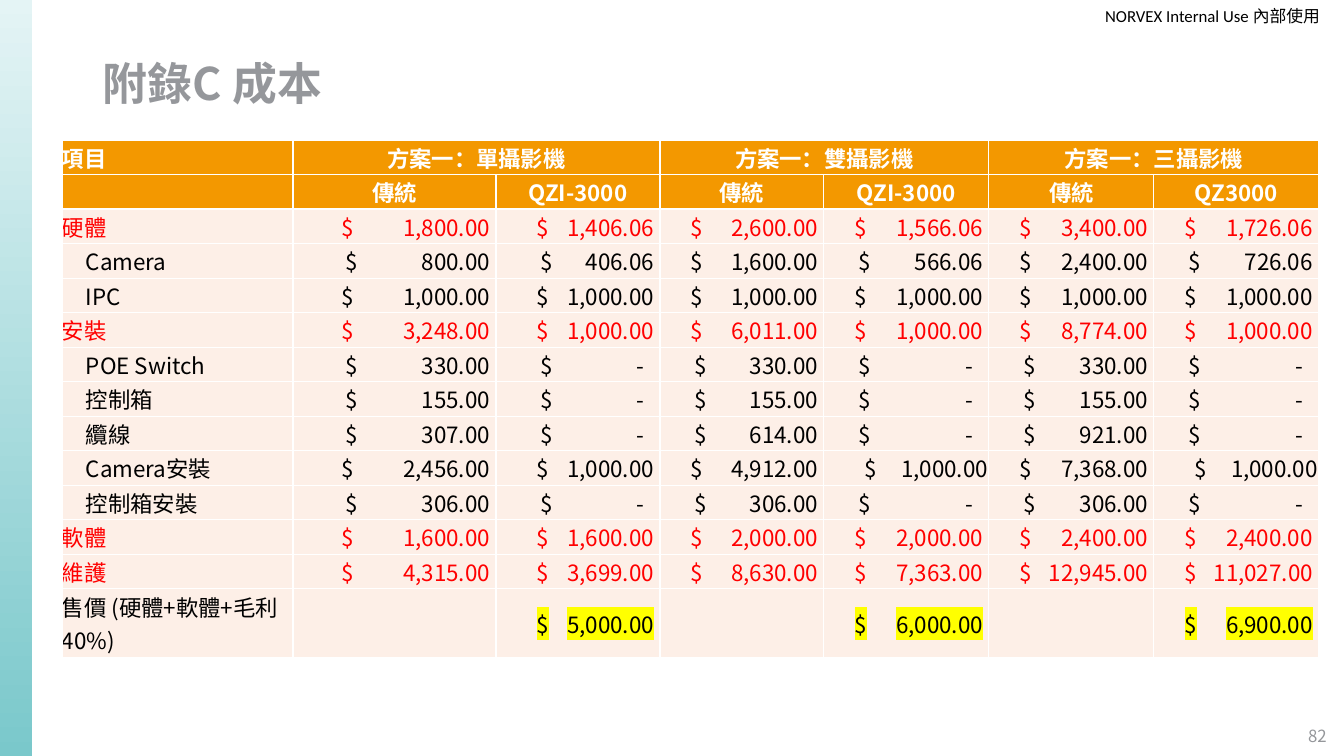
"""Build the appendix slide with the cost table of the three camera plans."""
from lxml import etree
from pptx import Presentation
from pptx import util as u
from pptx.dml.color import RGBColor
from pptx.enum import shapes, text
from pptx.oxml import ns

WHITE = RGBColor(0xFF, 0xFF, 0xFF)
BLACK = RGBColor(0x00, 0x00, 0x00)
RED = RGBColor(0xFF, 0x00, 0x00)
GREY = RGBColor(0x95, 0x97, 0x9B)
ORANGE = RGBColor(0xF3, 0x98, 0x00)
PEACH = RGBColor(0xFD, 0xEF, 0xE7)
YELLOW = RGBColor(0xFF, 0xFF, 0x00)
TEAL_LIGHT = RGBColor(0xE4, 0xF4, 0xF5)
TEAL = RGBColor(0x7A, 0xC8, 0xCB)
SANS = "Noto Sans CJK SC"
LEFT, CENTER, RIGHT = text.PP_ALIGN.LEFT, text.PP_ALIGN.CENTER, text.PP_ALIGN.RIGHT
MIDDLE = text.MSO_ANCHOR.MIDDLE


def px(n):
    return u.Emu(round(n * 12192000 / 1344))


def style(p, size, color, align=LEFT, bold=False, name=SANS):
    p.alignment = align
    p.font.size = u.Pt(size)
    p.font.bold = bold
    p.font.color.rgb = color
    p.font.name = name
    font = p._p.pPr.find(ns.qn("a:defRPr"))
    etree.SubElement(font, ns.qn("a:ea"), typeface=name)


prs = Presentation()
prs.slide_width, prs.slide_height = px(1344), px(756)
slide = prs.slides.add_slide(prs.slide_layouts[6])

s = slide.shapes.add_shape(shapes.MSO_SHAPE.RECTANGLE, 0, 0, px(32), px(756))
s.shadow.inherit = False
s.line.fill.background()
s.fill.gradient()
s.fill.gradient_angle = 270
for stop, color in zip(s.fill.gradient_stops, (TEAL_LIGHT, TEAL)):
    stop.color.rgb = color

boxes = [
    ("NORVEX Internal Use 內部使用", 1092, 0, 228, 32, 0, 12, BLACK, RIGHT, False, "Calibri"),
    ("附錄C 成本", 93, 40, 1159, 86, 10, 32, GREY, LEFT, True, "Noto Sans CJK TC"),
    ("82", 1296, 716, 43, 40, 0, 12, GREY, CENTER, False, SANS),
]
for words, x, y, w, h, inset, *look in boxes:
    tf = slide.shapes.add_textbox(px(x), px(y), px(w), px(h)).text_frame
    tf.word_wrap = True
    tf.vertical_anchor = MIDDLE
    tf.margin_left = tf.margin_right = px(inset)
    tf.margin_top = tf.margin_bottom = 0
    tf.text = words
    style(tf.paragraphs[0], *look)

heads = [
    ["項目", "方案一：單攝影機", "", "方案一：雙攝影機", "", "方案一：三攝影機", ""],
    ["", "傳統", "QZI-3000", "傳統", "QZI-3000", "傳統", "QZ3000"],
]
costs = [
    ("硬體", 1800, 1406.06, 2600, 1566.06, 3400, 1726.06),
    ("Camera", 800, 406.06, 1600, 566.06, 2400, 726.06),
    ("IPC", 1000, 1000, 1000, 1000, 1000, 1000),
    ("安裝", 3248, 1000, 6011, 1000, 8774, 1000),
    ("POE Switch", 330, 0, 330, 0, 330, 0),
    ("控制箱", 155, 0, 155, 0, 155, 0),
    ("纜線", 307, 0, 614, 0, 921, 0),
    ("Camera安裝", 2456, 1000, 4912, 1000, 7368, 1000),
    ("控制箱安裝", 306, 0, 306, 0, 306, 0),
    ("軟體", 1600, 1600, 2000, 2000, 2400, 2400),
    ("維護", 4315, 3699, 8630, 7363, 12945, 11027),
    ("售價 (硬體+軟體+毛利40%)", None, 5000, None, 6000, None, 6900),
]
groups = ("硬體", "安裝", "軟體", "維護")
price = costs[-1][0]
widths = [231, 203, 164, 164, 165, 165, 165]
dollar_at = [0, 49, 41, 31, 31, 31, 31]
row_height = px(518) // 15

table = slide.shapes.add_table(14, 7, px(62), px(140), px(sum(widths)), row_height * 15).table
table.first_row = table.horz_banding = False
for column, width in zip(table.columns, widths):
    column.width = px(width)
for row in table.rows:
    row.height = row_height
table.rows[13].height = row_height * 2

for i, row in enumerate(table.rows):
    for cell in row.cells:
        tcPr = cell._tc.get_or_add_tcPr()
        for side in ("lnL", "lnR", "lnT", "lnB"):
            ln = etree.SubElement(tcPr, ns.qn(f"a:{side}"), w=str(u.Pt(1)))
            fill = etree.SubElement(ln, ns.qn("a:solidFill"))
            etree.SubElement(fill, ns.qn("a:srgbClr"), val=str(WHITE))
        cell.fill.solid()
        cell.fill.fore_color.rgb = ORANGE if i < len(heads) else PEACH
        cell.vertical_anchor = MIDDLE
        cell.margin_left = cell.margin_right = cell.margin_top = cell.margin_bottom = 0

for i, titles in enumerate(heads):
    for j, title in enumerate(titles):
        p = table.cell(i, j).text_frame.paragraphs[0]
        p.text = title
        style(p, 16, WHITE, CENTER if j else LEFT, True)
for j in (1, 3, 5):
    table.cell(0, j).merge(table.cell(0, j + 1))

for i, (label, *values) in enumerate(costs, len(heads)):
    color = RED if label in groups else BLACK
    p = table.cell(i, 0).text_frame.paragraphs[0]
    p.text = label
    if label not in groups and label != price:
        p._p.get_or_add_pPr().set("marL", str(px(24)))
    style(p, 16, color)
    for j, value in enumerate(values, 1):
        p = table.cell(i, j).text_frame.paragraphs[0]
        if value is not None:
            start = dollar_at[j] + (4 if value < 1000 else 0)
            end = widths[j] - (6 if value else 16)
            if label == "Camera安裝" and j in (4, 6):
                start, end = start + 10, widths[j] - 1
            tabs = etree.SubElement(p._p.get_or_add_pPr(), ns.qn("a:tabLst"))
            for pos, algn in ((start, "l"), (end, "r")):
                etree.SubElement(tabs, ns.qn("a:tab"), pos=str(px(pos)), algn=algn)
            p.add_run().text = "\t"
            r = p.add_run()
            r.text = "$\t" + (f"{value:,.2f}" if value else "-")
            if label == price:
                mark = etree.SubElement(r._r.get_or_add_rPr(), ns.qn("a:highlight"))
                etree.SubElement(mark, ns.qn("a:srgbClr"), val=str(YELLOW))
        style(p, 16, color)

prs.save("out.pptx")
